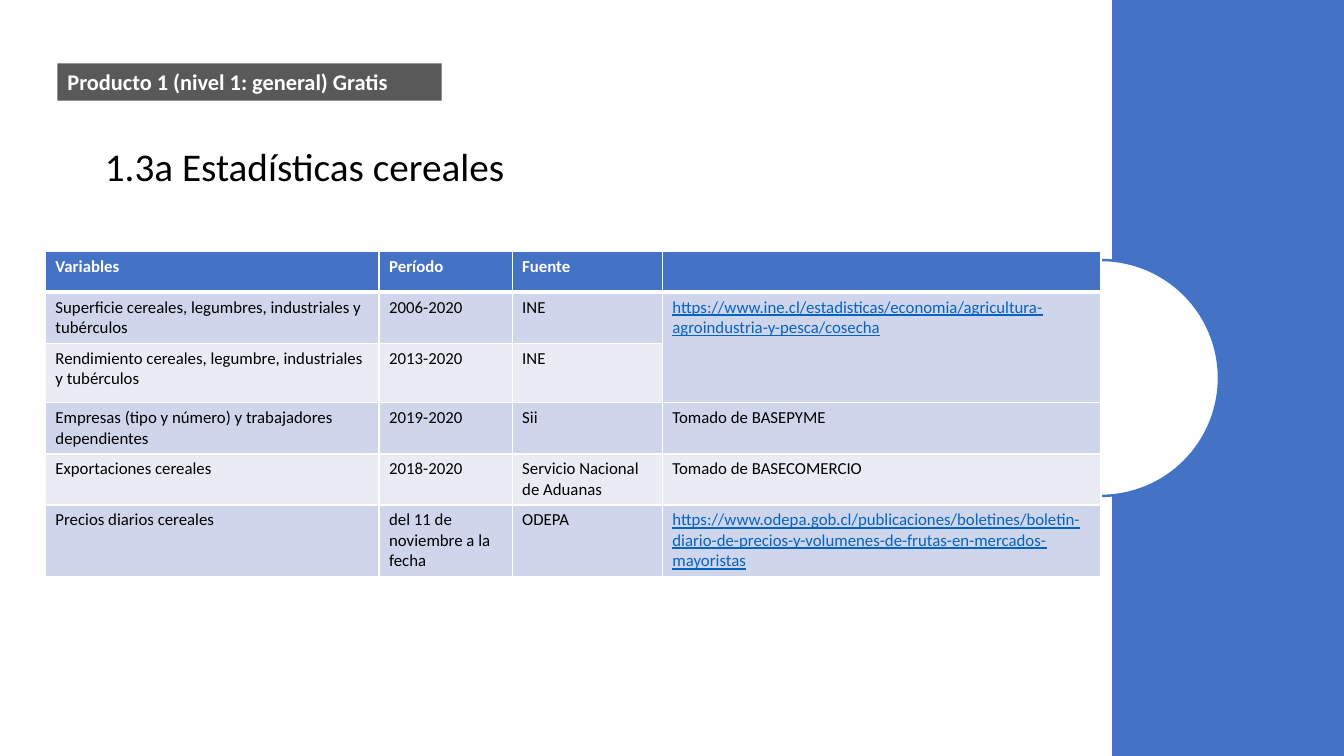
from lxml import etree
from pptx import Presentation
from pptx import util as u
from pptx.dml.color import RGBColor
from pptx.enum import shapes, text
from pptx.oxml.ns import qn

COLORS = {
    "blue": "4472C4",
    "gray": "595959",
    "white": "FFFFFF",
    "black": "000000",
    "link": "0563C1",
    "dark_band": "CFD5EA",
    "light_band": "E9EBF5",
}
HEADER = ["Variables", "Período", "Fuente", ""]
ROWS = [
    ["Superficie cereales, legumbres, industriales y tubérculos", "2006-2020", "INE",
     "https://www.ine.cl/estadisticas/economia/agricultura-agroindustria-y-pesca/cosecha"],
    ["Rendimiento cereales, legumbre, industriales y tubérculos", "2013-2020", "INE", ""],
    ["Empresas (tipo y número) y trabajadores dependientes", "2019-2020", "Sii",
     "Tomado de BASEPYME"],
    ["Exportaciones cereales", "2018-2020", "Servicio Nacional de Aduanas",
     "Tomado de BASECOMERCIO"],
    ["Precios diarios cereales", "del 11 de noviembre a la fecha", "ODEPA",
     "https://www.odepa.gob.cl/publicaciones/boletines/"
     "boletin-diario-de-precios-y-volumenes-de-frutas-en-mercados-mayoristas"],
]
COLUMN_WIDTHS = [3.31, 1.32, 1.49, 4.35]
ROW_HEIGHTS = [0.41, 0.5, 0.59, 0.5, 0.5, 0.7]


def rgb(color):
    return RGBColor.from_string(COLORS[color])


class SlideBuilder:
    font_name = "Calibri"

    def __init__(self, presentation):
        self.slide = presentation.slides.add_slide(presentation.slide_layouts[5])

    def put_text(self, frame, words, size, color, **formats):
        paragraph = frame.paragraphs[0]
        paragraph.alignment = text.PP_ALIGN.LEFT
        target = paragraph
        if words:
            target = paragraph.add_run()
            target.text = words
        values = {"name": self.font_name, "size": u.Pt(size), **formats}
        for key, value in values.items():
            setattr(target.font, key, value)
        target.font.color.rgb = rgb(color)
        return paragraph

    def title(self, box, words):
        shape = self.slide.shapes.title
        for key, value in zip(("left", "top", "width", "height"), box):
            setattr(shape, key, u.Inches(value))
        shape.text_frame.vertical_anchor = text.MSO_ANCHOR.MIDDLE
        self.put_text(shape.text_frame, words, 28, "black").line_spacing = 0.9

    def shape(self, kind, box, fill, line=None):
        shape = self.slide.shapes.add_shape(kind, *map(u.Inches, box))
        shape.shadow.inherit = False
        shape.fill.solid()
        shape.fill.fore_color.rgb = rgb(fill)
        if line:
            shape.line.color.rgb = rgb(line)
            shape.line.width = u.Pt(1.75)
        else:
            shape.line.fill.background()
        return shape

    def label(self, box, words):
        frame = self.shape(shapes.MSO_SHAPE.RECTANGLE, box, "gray").text_frame
        frame.word_wrap = True
        frame.vertical_anchor = text.MSO_ANCHOR.TOP
        self.put_text(frame, words, 16, "white", bold=True).space_after = u.Pt(6)

    def borders(self, cell, bottom, top):
        properties = cell._tc.get_or_add_tcPr()
        for side, width in {"L": 1, "R": 1, "T": top, "B": bottom}.items():
            line = etree.SubElement(properties, qn(f"a:ln{side}"), w=str(u.Pt(width)))
            fill = etree.SubElement(line, qn("a:solidFill"))
            etree.SubElement(fill, qn("a:srgbClr"), val=COLORS["white"])

    def table(self, left, top):
        rows = [HEADER, *ROWS]
        size = sum(COLUMN_WIDTHS), sum(ROW_HEIGHTS)
        table = self.slide.shapes.add_table(
            len(rows), len(HEADER), *map(u.Inches, (left, top, *size))).table
        table.first_row = table.horz_banding = False
        for column, width in zip(table.columns, COLUMN_WIDTHS):
            column.width = u.Inches(width)
        for row, height in zip(table.rows, ROW_HEIGHTS):
            row.height = u.Inches(height)
        for i, words_in_row in enumerate(rows):
            band = "blue" if i == 0 else ("light_band", "dark_band")[i % 2]
            for j, words in enumerate(words_in_row):
                cell = table.cell(i, j)
                self.borders(cell, 3 if i == 0 else 1, 3 if i == 1 else 1)
                cell.fill.solid()
                cell.fill.fore_color.rgb = rgb(band)
                is_link = words.startswith("https")
                color = "white" if i == 0 else "link" if is_link else "black"
                self.put_text(cell.text_frame, words, 12, color,
                              bold=i == 0, underline=is_link)
        table.cell(1, 3).merge(table.cell(2, 3))


def main():
    presentation = Presentation()
    presentation.slide_width = u.Inches(13.33)
    presentation.slide_height = u.Inches(7.5)
    builder = SlideBuilder(presentation)
    builder.title((0.94, 1.23, 8.17, 0.88), "1.3a Estadísticas cereales")
    builder.shape(shapes.MSO_SHAPE.RECTANGLE, (11.03, 0, 2.3, 7.5), "blue")
    builder.shape(shapes.MSO_SHAPE.OVAL, (9.75, 2.58, 2.34, 2.34), "white", "blue")
    builder.label((0.57, 0.63, 3.81, 0.37), "Producto 1 (nivel 1: general) Gratis")
    builder.table(0.45, 2.49)
    presentation.save("out.pptx")


if __name__ == "__main__":
    main()
